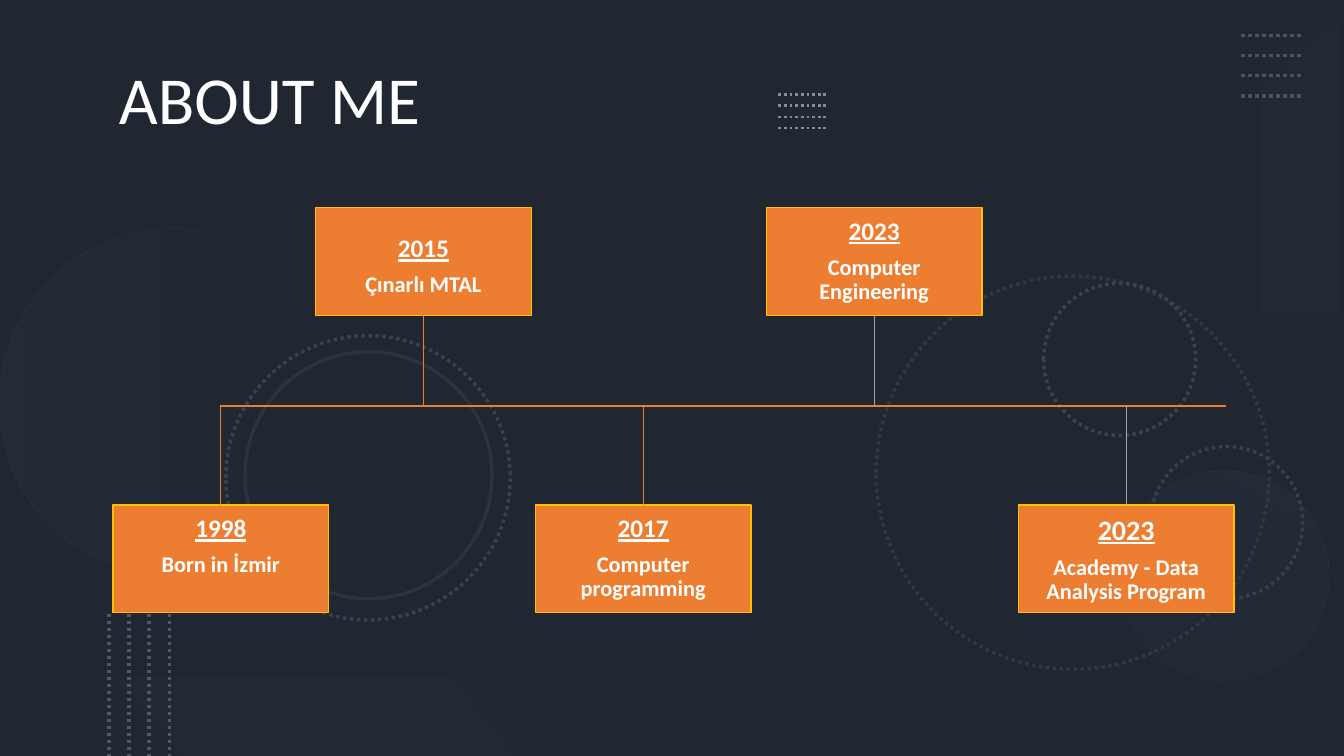
import dataclasses
import typing

import pptx
import pptx.dml.color
import pptx.enum.dml
import pptx.enum.shapes
import pptx.enum.text
import pptx.oxml.ns
import pptx.util
from pptx.util import Inches, Pt

SHAPE = pptx.enum.shapes.MSO_SHAPE
ALIGN = pptx.enum.text.PP_ALIGN
ANCHOR = pptx.enum.text.MSO_ANCHOR
DOT = pptx.enum.dml.MSO_LINE.ROUND_DOT
NIGHT, WHITE, ORANGE, GOLD, GREY = "202731", "FFFFFF", "ED7D31", "FFC000", "A5A5A5"
CARD_W, CARD_H, SPINE_Y = 2.14, 1.07, 4.03
TOP_Y, LOW_Y = 2.06, 5.01


@dataclasses.dataclass
class Ring:
    x: float
    y: float
    size: float
    color: str
    dotted: bool = True


@dataclasses.dataclass
class Glow:
    kind: int
    box: tuple[float, float, float, float]
    turn: int
    angle: int
    stops: tuple[tuple[str, int], tuple[str, int]]


@dataclasses.dataclass
class Dots:
    x: float
    y: float
    wide: float
    high: float
    step_x: float
    step_y: float
    color: str
    weight: float = 2.5


@dataclasses.dataclass
class Card:
    x: float
    y: float
    year: str
    text: str
    size: int = 18
    inset: float = 0.11
    stem: str = ORANGE
    weight: float = 1


RINGS = [
    Ring(8.69, 2.74, 3.9, "303841"),
    Ring(11.41, 4.43, 1.51, "363F4A"),
    Ring(2.24, 3.33, 2.82, "39424C"),
    Ring(2.43, 3.49, 2.45, "2B333E", False),
    Ring(10.35, 2.81, 1.51, "39424E"),
]
GLOWS = [
    Glow(SHAPE.OVAL, (0, 2.27, 3.44, 3.44), 270, 90, (("333F50", 20), ("222A35", 10))),
    Glow(SHAPE.OVAL, (11.1, 4.67, 2.08, 2.08), 210, 90, (("333F50", 10), ("333F50", 20))),
    Glow(SHAPE.RECTANGLE, (11.37, 1.17, 3.06, 0.78), 270, 140, (("ADB9CA", 0), ("333F50", 10))),
    Glow(SHAPE.RECTANGLE, (0, 6.72, 6.67, 0.78), 180, 140, (("222A35", 10), ("8497B0", 0))),
]
DOTS = [
    Dots(12.31, 0.35, 0.6, 0, 0, 0.2, "4A5361"),
    Dots(1.08, 6.09, 0, 1.41, 0.2, 0, "4F5965"),
    Dots(7.72, 0.94, 0.47, 0, 0, 0.11, "898C91", 2),
]
CARDS = [
    Card(3.13, TOP_Y, "2015", "Çınarlı MTAL", inset=0.28),
    Card(1.12, LOW_Y, "1998", "Born in İzmir"),
    Card(7.6, TOP_Y, "2023", "Computer Engineering", stem=GREY, weight=0.5),
    Card(5.31, LOW_Y, "2017", "Computer programming"),
    Card(10.1, LOW_Y, "2023", "Academy - Data Analysis Program", 20, stem=GREY, weight=0.5),
]


def rgb(code: str) -> pptx.dml.color.RGBColor:
    return pptx.dml.color.RGBColor.from_string(code)


def apply(item: typing.Any, form: dict[str, typing.Any]) -> None:
    for name, value in form.items():
        setattr(item, name, value)


def stroke(line: typing.Any, color: str, weight: float, dotted: bool = False) -> None:
    line.fill.solid()
    line.fill.fore_color.rgb = rgb(color)
    line.width = Pt(weight)
    if dotted:
        line.dash_style = DOT


def shape(slide: typing.Any, kind: int, x: float, y: float, w: float, h: float) -> typing.Any:
    item = slide.shapes.add_shape(kind, Inches(x), Inches(y), Inches(w), Inches(h))
    item.shadow.inherit = False
    return item


def link(slide: typing.Any, x: float, y: float, end_x: float, end_y: float,
         color: str, weight: float, dotted: bool = False) -> typing.Any:
    item = slide.shapes.add_connector(pptx.enum.shapes.MSO_CONNECTOR.STRAIGHT,
                                      Inches(x), Inches(y), Inches(end_x), Inches(end_y))
    stroke(item.line, color, weight, dotted)
    props = item._element.spPr
    props.append(props.makeelement(pptx.oxml.ns.qn("a:effectLst"), {}))
    return item


def draw_ring(slide: typing.Any, ring: Ring) -> None:
    item = shape(slide, SHAPE.OVAL, ring.x, ring.y, ring.size, ring.size)
    item.fill.background()
    stroke(item.line, ring.color, 2.5, ring.dotted)


def draw_glow(slide: typing.Any, glow: Glow) -> None:
    item = shape(slide, glow.kind, *glow.box)
    item.rotation = glow.turn
    item.line.fill.background()
    item.fill.gradient()
    item.fill.gradient_angle = 360 - glow.angle
    for stop, (color, alpha) in zip(item.fill.gradient_stops, glow.stops):
        stop.color.rgb = rgb(color)
        node = stop._gs.find(pptx.oxml.ns.qn("a:srgbClr"))
        node.append(node.makeelement(pptx.oxml.ns.qn("a:alpha"), {"val": str(alpha * 1000)}))


def draw_dots(slide: typing.Any, dots: Dots) -> None:
    for i in range(4):
        x, y = dots.x + i * dots.step_x, dots.y + i * dots.step_y
        link(slide, x, y, x + dots.wide, y + dots.high, dots.color, dots.weight, True)


def write(para: typing.Any, text: str, font: dict[str, typing.Any]) -> None:
    run = para.add_run()
    run.text = text
    apply(run.font, {"name": "Calibri", **font})
    run.font.color.rgb = rgb(WHITE)
    para.line_spacing = 0.9


def draw_card(slide: typing.Any, card: Card) -> None:
    box = shape(slide, SHAPE.RECTANGLE, card.x, card.y, CARD_W, CARD_H)
    box.fill.solid()
    box.fill.fore_color.rgb = rgb(ORANGE)
    stroke(box.line, GOLD, 1)
    frame = box.text_frame
    apply(frame, {"word_wrap": True, "vertical_anchor": ANCHOR.TOP,
                  "margin_left": Inches(0.24), "margin_right": Inches(0.24),
                  "margin_top": Inches(card.inset), "margin_bottom": 0})
    head, body = frame.paragraphs[0], frame.add_paragraph()
    write(head, card.year, {"size": Pt(card.size), "bold": True, "underline": True})
    write(body, card.text, {"size": Pt(16), "bold": True})
    apply(head, {"alignment": ALIGN.CENTER, "space_after": Pt(7)})
    body.alignment = ALIGN.CENTER
    # Stem from the card to the spine
    mid = card.x + CARD_W / 2
    stem = link(slide, mid, card.y, mid, SPINE_Y, card.stem, card.weight)
    stem.begin_connect(box, 2 if card.y < SPINE_Y else 0)


def main() -> None:
    deck = pptx.Presentation()
    apply(deck, {"slide_width": Inches(13.33), "slide_height": Inches(7.5)})
    slide = deck.slides.add_slide(deck.slide_layouts[5])
    slide.background.fill.solid()
    slide.background.fill.fore_color.rgb = rgb(NIGHT)

    # Title
    title = slide.shapes.title
    apply(title, {"left": Inches(1.08), "top": Inches(0.24),
                  "width": Inches(6.75), "height": Inches(1.19)})
    apply(title.text_frame, {"vertical_anchor": ANCHOR.BOTTOM, "word_wrap": True})
    para = title.text_frame.paragraphs[0]
    para.alignment = ALIGN.LEFT
    write(para, "ABOUT ME", {"size": Pt(48)})

    # Backdrop
    for glow in GLOWS:
        draw_glow(slide, glow)
    for ring in RINGS:
        draw_ring(slide, ring)
    for dots in DOTS:
        draw_dots(slide, dots)

    # Timeline
    link(slide, 2.18, SPINE_Y, 12.16, SPINE_Y, ORANGE, 1.5)
    for card in CARDS:
        draw_card(slide, card)
    deck.save("out.pptx")


if __name__ == "__main__":
    main()
